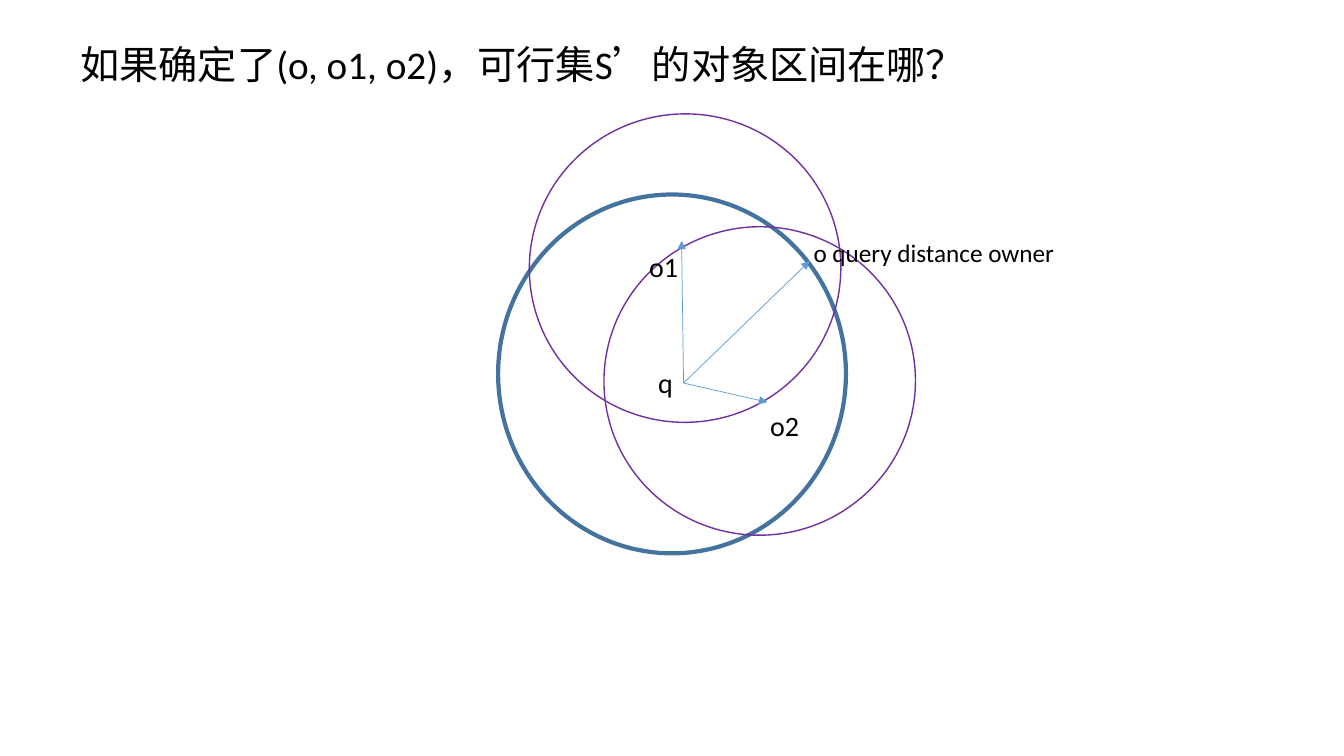
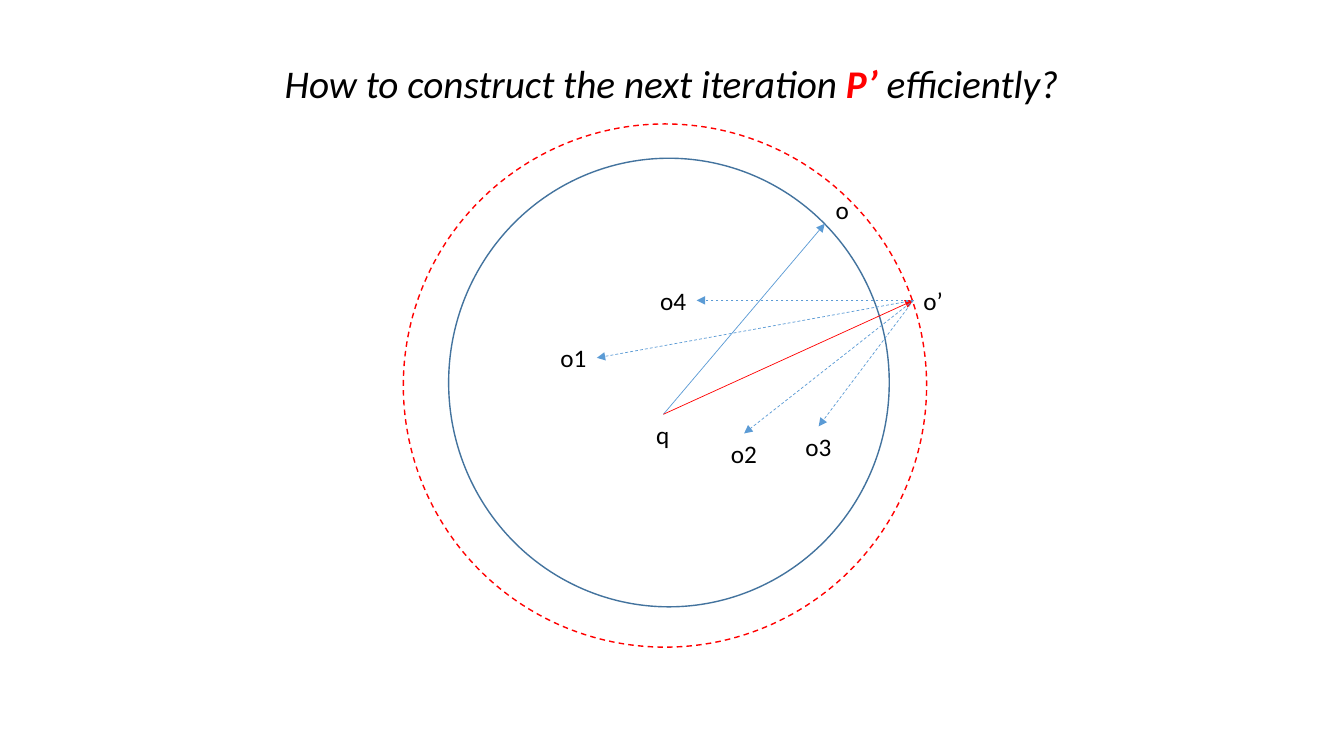
"""Build two slides of circle diagrams about distance owners around a query point."""
from dataclasses import dataclass

from lxml.etree import SubElement
from pptx import Presentation
from pptx.dml.color import RGBColor
from pptx.enum.dml import MSO_LINE
from pptx.enum.shapes import MSO_CONNECTOR, MSO_SHAPE
from pptx.enum.text import MSO_AUTO_SIZE, PP_ALIGN
from pptx.oxml.ns import qn
from pptx.util import Inches, Pt


@dataclass(frozen=True)
class Theme:
    font: str = "Calibri"
    text: RGBColor = RGBColor(0x00, 0x00, 0x00)
    circle: RGBColor = RGBColor(0x43, 0x73, 0x9E)
    arrow: RGBColor = RGBColor(0x5B, 0x9B, 0xD5)
    purple: RGBColor = RGBColor(0x70, 0x30, 0xA0)
    red: RGBColor = RGBColor(0xFF, 0x00, 0x00)
    title_size: Pt = Pt(28)
    large_label: Pt = Pt(20)
    label: Pt = Pt(18)
    arrow_width: Pt = Pt(0.5)


theme = Theme()
TOP, LEFT, RIGHT = 0, 1, 3


def add_text(slide, box, parts, size, wrap=False):
    shape = slide.shapes.add_textbox(*map(Inches, box))
    frame = shape.text_frame
    frame.word_wrap = wrap
    frame.auto_size = MSO_AUTO_SIZE.SHAPE_TO_FIT_TEXT
    for part in parts:
        run = frame.paragraphs[0].add_run()
        run.text = part
        run.font.name = theme.font
        run.font.size = size
        run.font.color.rgb = theme.text
    return shape


def add_arrow(slide, start, end, color, dashed=False):
    """Each end is a point in inches or a (shape, side) pair."""
    points = [(0, 0) if hasattr(place[0], "shape_id") else place for place in (start, end)]
    arrow = slide.shapes.add_connector(
        MSO_CONNECTOR.STRAIGHT, *(Inches(value) for point in points for value in point)
    )
    for place, connect in ((start, arrow.begin_connect), (end, arrow.end_connect)):
        if hasattr(place[0], "shape_id"):
            connect(*place)
    arrow.line.color.rgb = color
    arrow.line.width = theme.arrow_width
    if dashed:
        arrow.line.dash_style = MSO_LINE.DASH
    SubElement(arrow.line._get_or_add_ln(), qn("a:tailEnd"), type="triangle")
    SubElement(arrow._element.spPr, qn("a:effectLst"))


presentation = Presentation()
presentation.slide_width = Inches(13.33)
presentation.slide_height = Inches(7.5)
region_slide, iteration_slide = (
    presentation.slides.add_slide(presentation.slide_layouts[6]) for _ in range(2)
)

circles = [
    (region_slide, (4.94, 1.93, 3.45, 3.56), theme.circle, 3, 0, False),
    (region_slide, (5.99, 2.25, 3.09, 3.06), theme.purple, 1, 353.3, False),
    (region_slide, (5.25, 1.13, 3.09, 3.06), theme.purple, 1, 353.3, False),
    (iteration_slide, (4.45, 1.57, 4.37, 4.45), theme.circle, 1, 0, False),
    (iteration_slide, (4, 1.23, 5.19, 5.19), theme.red, 1, 0, True),
]
for slide, box, color, width, rotation, dashed in circles:
    circle = slide.shapes.add_shape(MSO_SHAPE.OVAL, *map(Inches, box))
    circle.shadow.inherit = False
    circle.fill.background()
    circle.line.color.rgb = color
    circle.line.width = Pt(width)
    circle.rotation = rotation
    if dashed:
        circle.line.dash_style = MSO_LINE.DASH

add_text(
    region_slide, (0.7, 0.35, 8.78, 0.57),
    ["如果确定了(o, o1, o2)，可行集S’的对象区间在哪？"], theme.title_size, wrap=True,
)
region_query = add_text(region_slide, (6.43, 3.58, 0.35, 0.44), ["q"], theme.large_label)
add_text(region_slide, (6.34, 2.43, 0.49, 0.44), ["o1"], theme.large_label)
add_text(region_slide, (7.54, 4, 0.49, 0.44), ["o2"], theme.large_label)
add_text(region_slide, (7.97, 2.31, 2.62, 0.4), ["o query distance owner"], theme.label)
for target in ((8.03, 2.59), (6.76, 2.39), (7.61, 3.99)):
    add_arrow(region_slide, (region_query, RIGHT), target, theme.arrow)

title = add_text(
    iteration_slide, (2.67, 0.54, 7.98, 0.57),
    ["How to construct the next iteration ", "P’", " efficiently?"], theme.title_size,
)
title_paragraph = title.text_frame.paragraphs[0]
title_paragraph.alignment = PP_ALIGN.CENTER
for run in title_paragraph.runs:
    run.font.italic = True
emphasis = title_paragraph.runs[1].font
emphasis.bold = True
emphasis.color.rgb = theme.red

labels = {
    name: add_text(iteration_slide, (left, top, width, 0.4), [name], theme.label)
    for name, left, top, width in (
        ("q", 6.41, 4.11, 0.34),
        ("o", 8.19, 1.88, 0.34),
        ("o’", 9.06, 2.78, 0.4),
        ("o1", 5.46, 3.35, 0.46),
        ("o2", 7.15, 4.3, 0.46),
        ("o3", 7.89, 4.23, 0.46),
        ("o4", 6.45, 2.78, 0.46),
    )
}
query = (labels["q"], TOP)
next_owner = (labels["o’"], LEFT)
add_arrow(iteration_slide, query, (8.18, 2.22), theme.arrow)
add_arrow(iteration_slide, query, next_owner, theme.red)
for name, side in (("o4", RIGHT), ("o1", RIGHT), ("o3", TOP), ("o2", TOP)):
    add_arrow(iteration_slide, next_owner, (labels[name], side), theme.arrow, dashed=True)

presentation.save("out.pptx")
